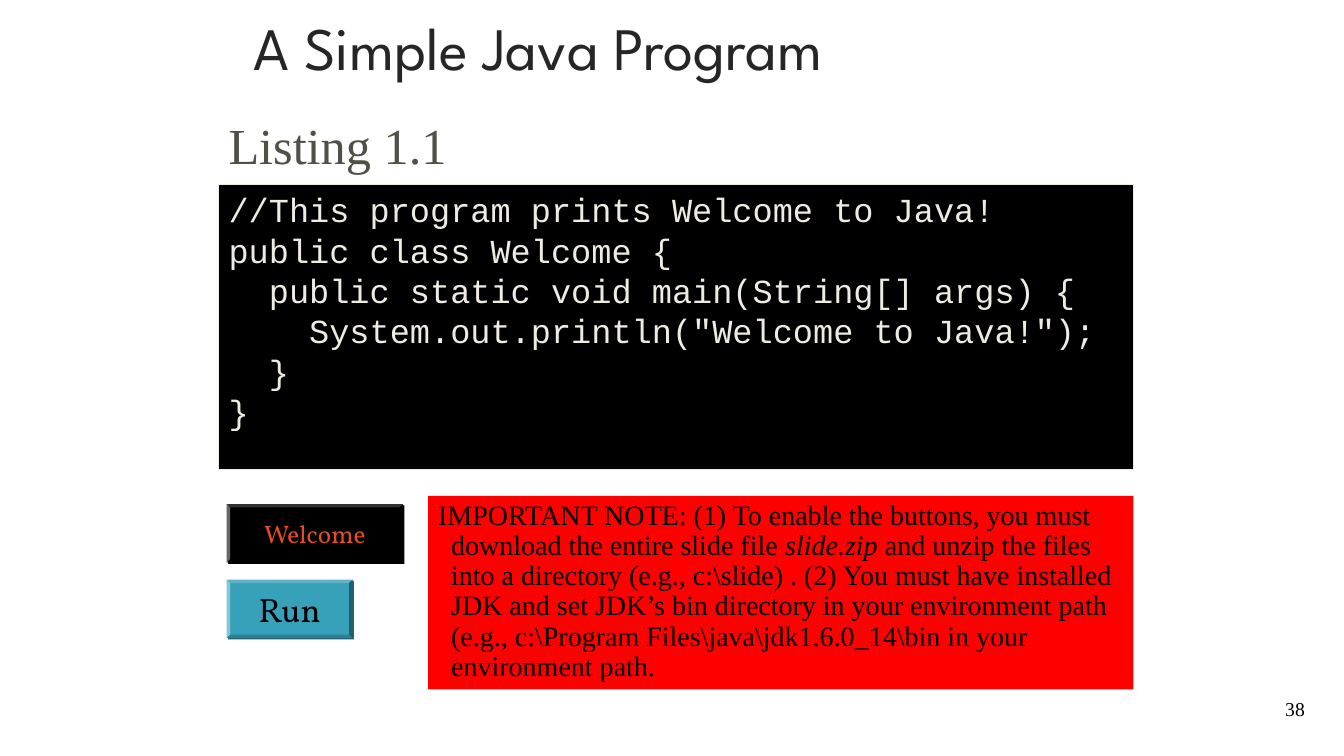
from lxml import etree
from pptx import Presentation
from pptx import util as u
from pptx.dml.color import RGBColor
from pptx.enum import shapes, text
from pptx.oxml.ns import qn

PX = 9144  # 100 px to the inch
BLACK = RGBColor(0x00, 0x00, 0x00)
RED = RGBColor(0xFF, 0x00, 0x00)
TEAL = RGBColor(0x38, 0xA1, 0xBA)
DARK_TEAL = RGBColor(0x22, 0x61, 0x70)
ORANGE = RGBColor(0xE8, 0x4C, 0x22)
CREAM = RGBColor(0xEE, 0xEC, 0xE1)
CHARCOAL = RGBColor(0x26, 0x26, 0x26)
OLIVE = RGBColor(0x50, 0x50, 0x46)

SERIF, MONO = "Times New Roman", "Courier New"
HEADING, BUTTON = "League Spartan", "Vollkorn"

CODE = """//This program prints Welcome to Java!
public class Welcome {
  public static void main(String[] args) {
    System.out.println("Welcome to Java!");
  }
}"""

NOTE = [
    ("IMPORTANT NOTE: (1) To enable the buttons, you must download "
     "the entire slide file ", False),
    ("slide.zip", True),
    (" and unzip the files into a directory (e.g., c:\\slide) . (2) You must "
     "have installed JDK and set JDK’s bin directory in your environment path "
     "(e.g., c:\\Program Files\\java\\jdk1.6.0_14\\bin in your environment path.",
     False),
]


def px(length):
    return u.Emu(length * PX)


def write(shape, paragraphs, font, size, color, align=text.PP_ALIGN.LEFT,
          anchor=text.MSO_ANCHOR.TOP, hang=0, line_spacing=None, wrap=True):
    """Fill a shape; each paragraph is a list of (text, italic) runs."""
    frame = shape.text_frame
    frame.word_wrap = wrap
    frame.vertical_anchor = anchor
    for index, runs in enumerate(paragraphs):
        paragraph = frame.add_paragraph() if index else frame.paragraphs[0]
        paragraph.alignment = align
        paragraph.line_spacing = line_spacing
        if hang:
            properties = paragraph._p.get_or_add_pPr()
            properties.set("marL", str(px(hang)))
            properties.set("indent", str(-px(hang)))
        for content, italic in runs:
            run = paragraph.add_run()
            run.text = content
            run.font.name = font
            run.font.size = u.Pt(size)
            run.font.italic = italic
            run.font.color.rgb = color


class SlideBuilder:
    def __init__(self, width, height):
        self.presentation = Presentation()
        self.presentation.slide_width = px(width)
        self.presentation.slide_height = px(height)
        layout = self.presentation.slide_layouts[6]
        self.slide = self.presentation.slides.add_slide(layout)

    def label(self, box, content, **style):
        shape = self.slide.shapes.add_textbox(*map(px, box))
        write(shape, [[(content, False)]], **style)

    def panel(self, box, fill, paragraphs, line=None,
              kind=shapes.MSO_SHAPE.RECTANGLE, **style):
        shape = self.slide.shapes.add_shape(kind, *map(px, box))
        shape.shadow.inherit = False
        shape.fill.solid()
        shape.fill.fore_color.rgb = fill
        if line is None:
            shape.line.fill.background()
        else:
            shape.line.color.rgb = line
            shape.line.width = u.Pt(0.75)
        write(shape, paragraphs, **style)
        return shape

    def button(self, box, fill, shadow, caption, **style):
        shape = self.panel(box, fill, [[(caption, False)]],
                           kind=shapes.MSO_SHAPE.BEVEL, font=BUTTON,
                           align=text.PP_ALIGN.CENTER,
                           anchor=text.MSO_ANCHOR.MIDDLE, wrap=False, **style)
        shape.adjustments[0] = 0.06
        effects = shape._element.spPr.find(qn("a:effectLst"))
        outer = etree.SubElement(effects, qn("a:outerShdw"),
                                 dist=str(u.Pt(1.4)), dir="2700000")
        etree.SubElement(outer, qn("a:srgbClr"), val=str(shadow))


def main():
    builder = SlideBuilder(1334, 750)
    builder.label((242, 17, 850, 67), "A Simple Java Program", font=HEADING,
                  size=43, color=CHARCOAL, anchor=text.MSO_ANCHOR.MIDDLE,
                  line_spacing=0.9)
    builder.label((217, 108, 383, 70), "Listing 1.1", font=SERIF, size=36,
                  color=OLIVE)
    builder.panel((217, 183, 908, 283), BLACK,
                  [[(line, False)] for line in CODE.splitlines()],
                  line=CREAM, font=MONO, size=24, color=CREAM, hang=20)
    builder.button((225, 500, 175, 58), BLACK, BLACK, "Welcome",
                   size=18, color=ORANGE)
    builder.button((225, 575, 125, 58), TEAL, DARK_TEAL, "Run",
                   size=24, color=BLACK)
    builder.panel((425, 492, 700, 192), RED, [NOTE], font=SERIF, size=20,
                  color=BLACK, hang=13, line_spacing=0.9)
    builder.label((1145, 690, 160, 30), "38", font=SERIF, size=14, color=BLACK,
                  align=text.PP_ALIGN.RIGHT, anchor=text.MSO_ANCHOR.BOTTOM)
    builder.presentation.save("out.pptx")


if __name__ == "__main__":
    main()
